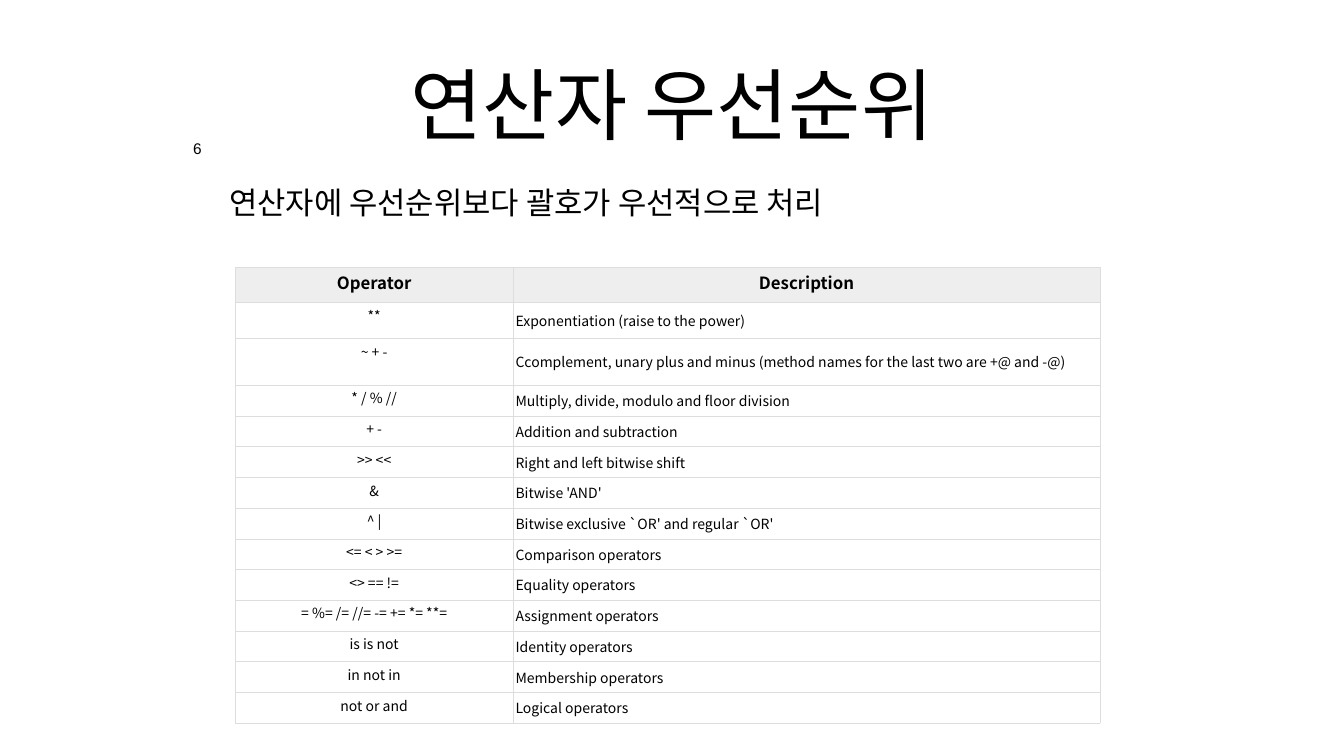
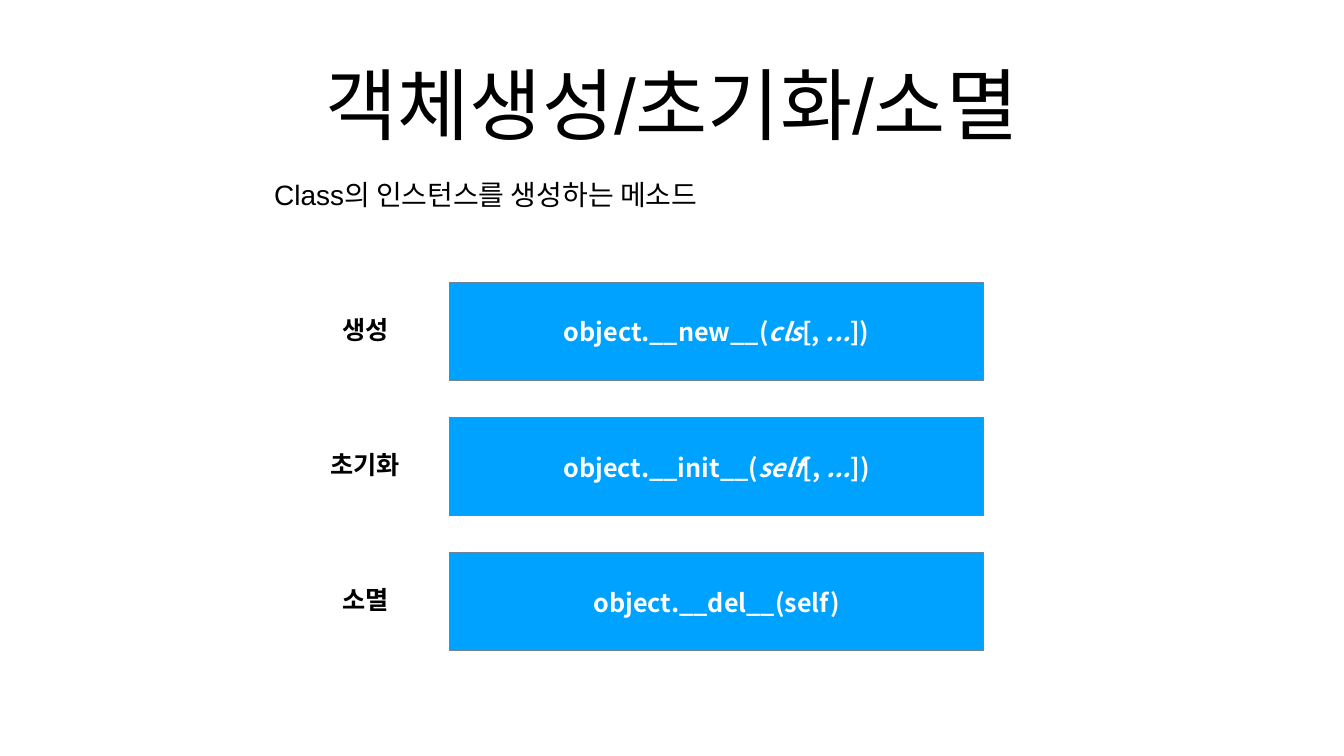
from dataclasses import dataclass

from lxml.etree import SubElement
from pptx import Presentation
from pptx.dml.color import RGBColor
from pptx.enum.shapes import MSO_SHAPE
from pptx.enum.text import MSO_ANCHOR, MSO_AUTO_SIZE, PP_ALIGN
from pptx.oxml.ns import qn
from pptx.util import Inches, Pt

BLACK = "000000"
WHITE = "FFFFFF"
BLUE = "00A2FF"
BLUE_EDGE = "6C8599"
HEADER_GRAY = "EEEEEE"
BORDER_GRAY = "DDDDDD"
LATIN_FONT = "Arial"
KOREAN_FONT = "Noto Sans CJK KR"


@dataclass(frozen=True)
class Box:
    left: float
    top: float
    width: float
    height: float

    def lengths(self) -> tuple:
        return tuple(Inches(value) for value in (self.left, self.top, self.width, self.height))


@dataclass(frozen=True)
class TextStyle:
    size: float
    font: str = LATIN_FONT
    color: str = BLACK
    bold: bool = False


@dataclass(frozen=True)
class Piece:
    text: str
    italic: bool = False


@dataclass(frozen=True)
class Method:
    label: str
    label_width: float
    pieces: tuple


TITLE_BOX = Box(4.8, 0.39, 17.07, 3.32)
TITLE_STYLE = TextStyle(112)
LABEL_STYLE = TextStyle(36, KOREAN_FONT, bold=True)
METHOD_STYLE = TextStyle(36, KOREAN_FONT, WHITE, True)
HEADER_STYLE = TextStyle(24, KOREAN_FONT, bold=True)
CELL_STYLE = TextStyle(20, KOREAN_FONT)

OPERATORS = [
    ("Operator", "Description"),
    ("**", "Exponentiation (raise to the power)"),
    ("~ + -", "Ccomplement, unary plus and minus (method names for the last two are +@ and -@)"),
    ("* / % //", "Multiply, divide, modulo and floor division"),
    ("+ -", "Addition and subtraction"),
    (">> <<", "Right and left bitwise shift"),
    ("&", "Bitwise 'AND'"),
    ("^ |", "Bitwise exclusive `OR' and regular `OR'"),
    ("<= < > >=", "Comparison operators"),
    ("<> == !=", "Equality operators"),
    ("= %= /= //= -= += *= **=", "Assignment operators"),
    ("is is not", "Identity operators"),
    ("in not in", "Membership operators"),
    ("not or and", "Logical operators"),
]
TABLE_BOX = Box(4.67, 5.3, 17.17, 9.01)
COLUMN_WIDTHS = (5.51, 11.65)
ROW_HEIGHTS = [0.7, 0.72, 0.92] + [0.61] * 11


def arguments(name: str, first: str) -> tuple:
    return (Piece(f"object.{name}("), Piece(first, True), Piece("[,\u00a0"),
            Piece("...", True), Piece("])"))


METHODS = [
    Method("생성", 1.21, arguments("__new__", "cls")),
    Method("초기화", 1.72, arguments("__init__", "self")),
    Method("소멸", 1.21, (Piece("object.__del__(self)"),)),
]
METHOD_TOP = 5.61
METHOD_STEP = 2.68
LABEL_CENTER = 7.25


def rgb(color: str) -> RGBColor:
    return RGBColor.from_string(color)


def format_run(run, style: TextStyle) -> None:
    run.font.size = Pt(style.size)
    run.font.name = style.font
    run.font.bold = style.bold
    run.font.color.rgb = rgb(style.color)
    SubElement(run._r.get_or_add_rPr(), qn("a:ea"), typeface=KOREAN_FONT)


def format_paragraph(paragraph, style: TextStyle, alignment=PP_ALIGN.LEFT) -> None:
    paragraph.alignment = alignment
    for run in paragraph.runs:
        format_run(run, style)


def set_margins(text_frame, horizontal: float, vertical: float) -> None:
    text_frame.margin_left = text_frame.margin_right = Inches(horizontal)
    text_frame.margin_top = text_frame.margin_bottom = Inches(vertical)


def fill_placeholder(shape, box: Box, text: str, style: TextStyle, anchor, alignment):
    shape.left, shape.top, shape.width, shape.height = box.lengths()
    text_frame = shape.text_frame
    text_frame.text = text
    text_frame.auto_size = MSO_AUTO_SIZE.NONE
    text_frame.vertical_anchor = anchor
    set_margins(text_frame, 0.08, 0.08)
    paragraph = text_frame.paragraphs[0]
    format_paragraph(paragraph, style, alignment)
    return paragraph


def add_titled_slide(presentation, title: str):
    slide = presentation.slides.add_slide(presentation.slide_layouts[1])
    fill_placeholder(slide.shapes.title, TITLE_BOX, title, TITLE_STYLE,
                     MSO_ANCHOR.MIDDLE, PP_ALIGN.CENTER)
    return slide


def add_body(slide, box: Box, text: str, size: float, space_before: float,
             level: int = 0, indent: float = 0) -> None:
    paragraph = fill_placeholder(slide.placeholders[1], box, text, TextStyle(size),
                                 MSO_ANCHOR.TOP, PP_ALIGN.LEFT)
    paragraph.level = level
    paragraph.space_before = Pt(space_before)
    properties = paragraph._p.get_or_add_pPr()
    properties.set("marL", "0")
    properties.set("indent", str(Inches(indent)))
    SubElement(properties, qn("a:buNone"))


def add_text(shapes, box: Box, pieces: tuple, style: TextStyle, wrap: bool,
             margins: tuple, anchor=MSO_ANCHOR.TOP):
    text_frame = shapes.add_textbox(*box.lengths()).text_frame
    text_frame.word_wrap = wrap
    text_frame.auto_size = MSO_AUTO_SIZE.SHAPE_TO_FIT_TEXT
    text_frame.vertical_anchor = anchor
    set_margins(text_frame, *margins)
    paragraph = text_frame.paragraphs[0]
    for piece in pieces:
        run = paragraph.add_run()
        run.text = piece.text
        run.font.italic = piece.italic
    format_paragraph(paragraph, style, PP_ALIGN.CENTER)
    return paragraph


def add_borders(cell) -> None:
    properties = cell._tc.get_or_add_tcPr()
    for side in ("lnL", "lnR", "lnT", "lnB"):
        line = SubElement(properties, qn(f"a:{side}"), w=str(Pt(0.6)))
        fill = SubElement(line, qn("a:solidFill"))
        SubElement(fill, qn("a:srgbClr"), val=BORDER_GRAY)


def format_cell(cell, text: str, is_header: bool, is_description: bool) -> None:
    cell.text_frame.text = text
    set_margins(cell, 0.05, 0.05)
    add_borders(cell)
    left_aligned = is_description and not is_header
    cell.vertical_anchor = MSO_ANCHOR.MIDDLE if left_aligned else MSO_ANCHOR.TOP
    format_paragraph(cell.text_frame.paragraphs[0],
                     HEADER_STYLE if is_header else CELL_STYLE,
                     PP_ALIGN.LEFT if left_aligned else PP_ALIGN.CENTER)
    if is_header:
        cell.fill.solid()
        cell.fill.fore_color.rgb = rgb(HEADER_GRAY)
    else:
        cell.fill.background()


def add_operator_table(slide) -> None:
    table = slide.shapes.add_table(len(OPERATORS), len(COLUMN_WIDTHS), *TABLE_BOX.lengths()).table
    table.first_row = False
    table.horz_banding = False
    for column, width in zip(table.columns, COLUMN_WIDTHS):
        column.width = Inches(width)
    for row, height in zip(table.rows, ROW_HEIGHTS):
        row.height = Inches(height)
    for row_index, texts in enumerate(OPERATORS):
        for column_index, text in enumerate(texts):
            format_cell(table.cell(row_index, column_index), text,
                        row_index == 0, column_index == 1)


def add_method(slide, method: Method, top: float) -> None:
    group = slide.shapes.add_group_shape()
    panel = group.shapes.add_shape(MSO_SHAPE.RECTANGLE, *Box(8.92, top, 10.6, 1.94).lengths())
    panel.shadow.inherit = False
    panel.fill.solid()
    panel.fill.fore_color.rgb = rgb(BLUE)
    panel.line.color.rgb = rgb(BLUE_EDGE)
    panel.line.width = Pt(1.5)
    text_top = top + 0.57
    add_text(group.shapes, Box(8.92, text_top, 10.6, 0.81), method.pieces, METHOD_STYLE,
             True, (0.1, 0.1), MSO_ANCHOR.MIDDLE)
    label_box = Box(LABEL_CENTER - method.label_width / 2, text_top, method.label_width, 0.71)
    add_text(slide.shapes, label_box, (Piece(method.label),), LABEL_STYLE, False, (0.1, 0.05))


def build_precedence_slide(presentation) -> None:
    slide = add_titled_slide(presentation, "연산자 우선순위")
    add_operator_table(slide)
    add_body(slide, Box(4.33, 3.56, 18, 2.6), " 연산자에 우선순위보다 괄호가 우선적으로 처리", 44, 59)
    number = add_text(slide.shapes, Box(3.75, 2.75, 0.33, 0.45), (Piece("6"),),
                      TextStyle(22), False, (0.08, 0.08))
    number.line_spacing = 0.8


def build_lifecycle_slide(presentation) -> None:
    slide = add_titled_slide(presentation, "객체생성/초기화/소멸")
    add_body(slide, Box(4.36, 3.45, 18, 2), "Class의 인스턴스를 생성하는 메소드", 40, 10, level=1, indent=1)
    for index, method in enumerate(METHODS):
        add_method(slide, method, METHOD_TOP + index * METHOD_STEP)


def main() -> None:
    presentation = Presentation()
    presentation.slide_width = Inches(26.67)
    presentation.slide_height = Inches(15)
    build_precedence_slide(presentation)
    build_lifecycle_slide(presentation)
    presentation.save("out.pptx")


main()
